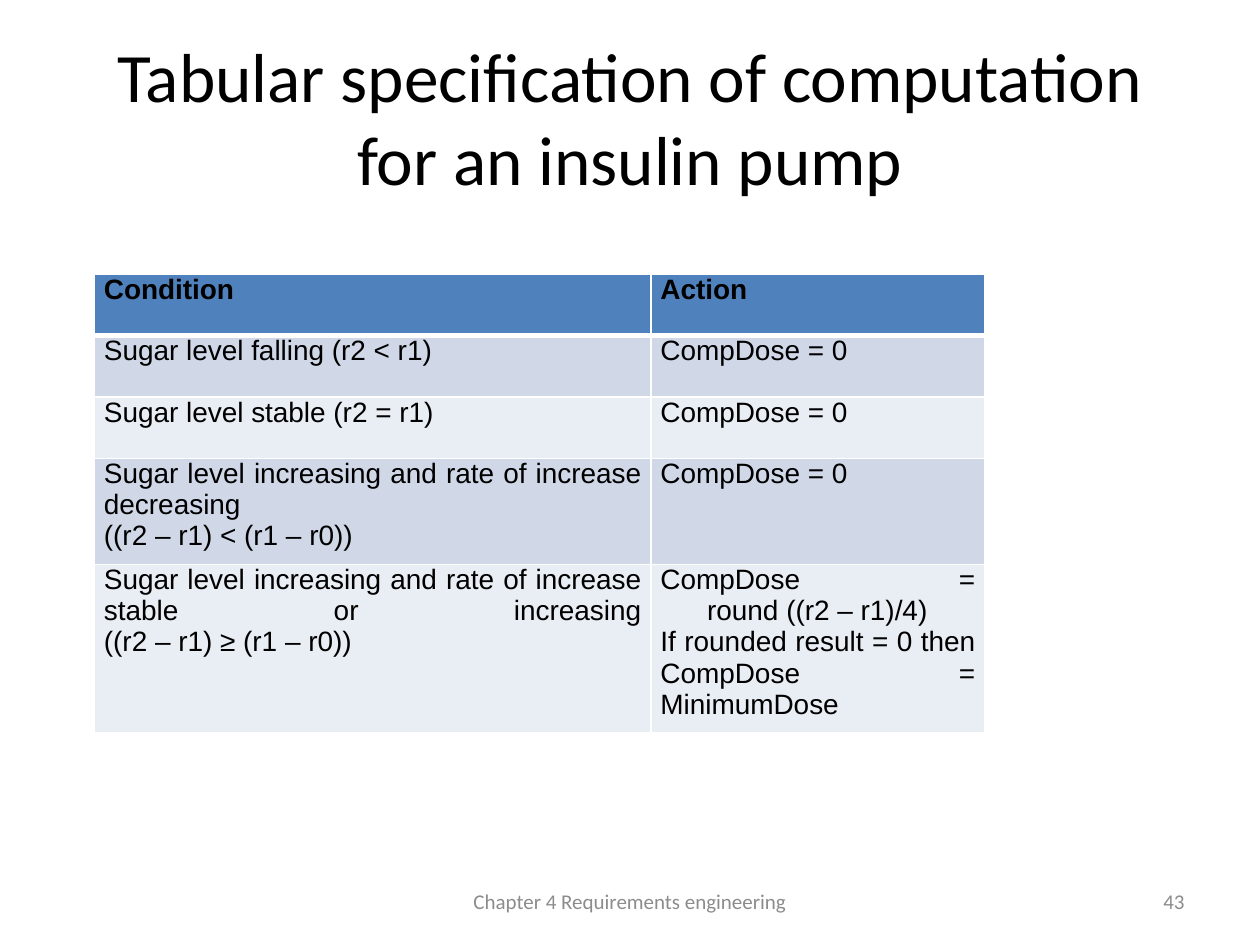
from lxml.etree import SubElement
from pptx import Presentation
from pptx.dml.color import RGBColor
from pptx.enum.text import MSO_ANCHOR, MSO_AUTO_SIZE, PP_ALIGN
from pptx.oxml.ns import qn
from pptx.util import Pt

COLORS = {
    "text": "000000",
    "footer": "8C8C8C",
    "header": "4F81BD",
    "odd": "D0D8E8",
    "even": "E9EDF4",
    "border": "FFFFFF",
}
TITLE_FONT = {"name": "Calibri", "size": Pt(39.6), "bold": False}
CELL_FONT = {"name": "Arial", "size": Pt(16), "bold": False}
HEADER_FONT = {**CELL_FONT, "bold": True}
FOOTER_FONT = {"name": "Calibri", "size": Pt(12)}
CELL_MARGINS = {
    "margin_left": Pt(5.4),
    "margin_top": Pt(0),
    "margin_right": Pt(5.4),
    "margin_bottom": Pt(7.2),
}
COLUMN_WIDTHS = (318, 190.8)
ROW_HEIGHTS = (35.2, 35.2, 35.2, 60.5, 96)
HANGING_INDENT = 26.7
RULES = [
    ("Condition", "Action"),
    ("Sugar level falling (r2 < r1)", "CompDose = 0"),
    ("Sugar level stable (r2 = r1)", "CompDose = 0"),
    (
        "Sugar level increasing and rate of increase decreasing\v"
        "((r2 – r1) < (r1 – r0))",
        "CompDose = 0",
    ),
    (
        "Sugar level increasing and rate of increase stable or increasing\v"
        "((r2 – r1) ≥ (r1 – r0))",
        "CompDose =\vround ((r2 – r1)/4)\n"
        "If rounded result = 0 then \n"
        "CompDose = MinimumDose",
    ),
]


def apply_format(target, values):
    """Set every attribute named in values on target."""
    for attribute, value in values.items():
        setattr(target, attribute, value)


def write_text(frame, wording, font, color, alignment):
    """Write paragraphs in one font, colour and alignment."""
    frame.text = wording
    for paragraph in frame.paragraphs:
        paragraph.alignment = alignment
        for run in paragraph.runs:
            apply_format(run.font, font)
            run.font.color.rgb = RGBColor.from_string(COLORS[color])


def place(box, left, top, width, height):
    """Position a shape and centre its wrapped text vertically."""
    apply_format(box, {"left": Pt(left), "top": Pt(top),
                       "width": Pt(width), "height": Pt(height)})
    apply_format(box.text_frame, {"word_wrap": True,
                                  "auto_size": MSO_AUTO_SIZE.NONE,
                                  "vertical_anchor": MSO_ANCHOR.MIDDLE})


def add_title(slide, wording):
    """Fill and format the title placeholder."""
    title = slide.shapes.title
    place(title, 36, 21.6, 648, 90)
    write_text(title.text_frame, wording, TITLE_FONT, "text", PP_ALIGN.CENTER)


def add_footer(slide, wording, left, width, alignment):
    """Add one grey text on the footer line."""
    footer = slide.shapes.add_textbox(0, 0, 0, 0)
    place(footer, left, 500.5, width, 28.75)
    write_text(footer.text_frame, wording, FOOTER_FONT, "footer", alignment)


def add_borders(cell, widths):
    """Draw the cell borders, given widths by side, before the fill."""
    properties = cell._tc.get_or_add_tcPr()
    for side, width in widths.items():
        line = SubElement(properties, qn(f"a:ln{side}"), w=str(Pt(width)))
        fill = SubElement(line, qn("a:solidFill"))
        SubElement(fill, qn("a:srgbClr"), val=COLORS["border"])


def format_cell(cell, wording, row):
    """Write a cell and style it by its row number."""
    font = HEADER_FONT if row == 0 else CELL_FONT
    write_text(cell.text_frame, wording, font, "text", PP_ALIGN.JUSTIFY)
    apply_format(cell, CELL_MARGINS)
    add_borders(cell, {"L": 1, "R": 1, "T": 3 if row == 1 else 1,
                       "B": 3 if row == 0 else 1})
    band = "header" if row == 0 else "odd" if row % 2 else "even"
    cell.fill.solid()
    cell.fill.fore_color.rgb = RGBColor.from_string(COLORS[band])


def hang(paragraph, indent):
    """Indent every line of a paragraph but the first."""
    properties = paragraph._p.get_or_add_pPr()
    properties.set("marL", str(Pt(indent)))
    properties.set("indent", str(-Pt(indent)))


def add_rule_table(slide, rules):
    """Add the table of conditions and actions."""
    table = slide.shapes.add_table(
        len(rules), len(COLUMN_WIDTHS), Pt(54), Pt(156.5),
        Pt(sum(COLUMN_WIDTHS)), Pt(sum(ROW_HEIGHTS))).table
    for column, width in zip(table.columns, COLUMN_WIDTHS):
        column.width = Pt(width)
    for row, height in zip(table.rows, ROW_HEIGHTS):
        row.height = Pt(height)
    for row, rule in enumerate(rules):
        for column, wording in enumerate(rule):
            format_cell(table.cell(row, column), wording, row)
    rounding = table.cell(len(rules) - 1, 1).text_frame.paragraphs[0]
    hang(rounding, HANGING_INDENT)


def main():
    """Build and save the slide."""
    deck = Presentation()
    apply_format(deck, {"slide_width": Pt(720), "slide_height": Pt(540)})
    slide = deck.slides.add_slide(deck.slide_layouts[5])
    add_title(slide, "Tabular specification of computation for an insulin pump")
    add_rule_table(slide, RULES)
    add_footer(slide, "43", 516, 168, PP_ALIGN.RIGHT)
    add_footer(slide, "Chapter 4 Requirements engineering", 246, 228,
               PP_ALIGN.CENTER)
    deck.save("out.pptx")


main()
